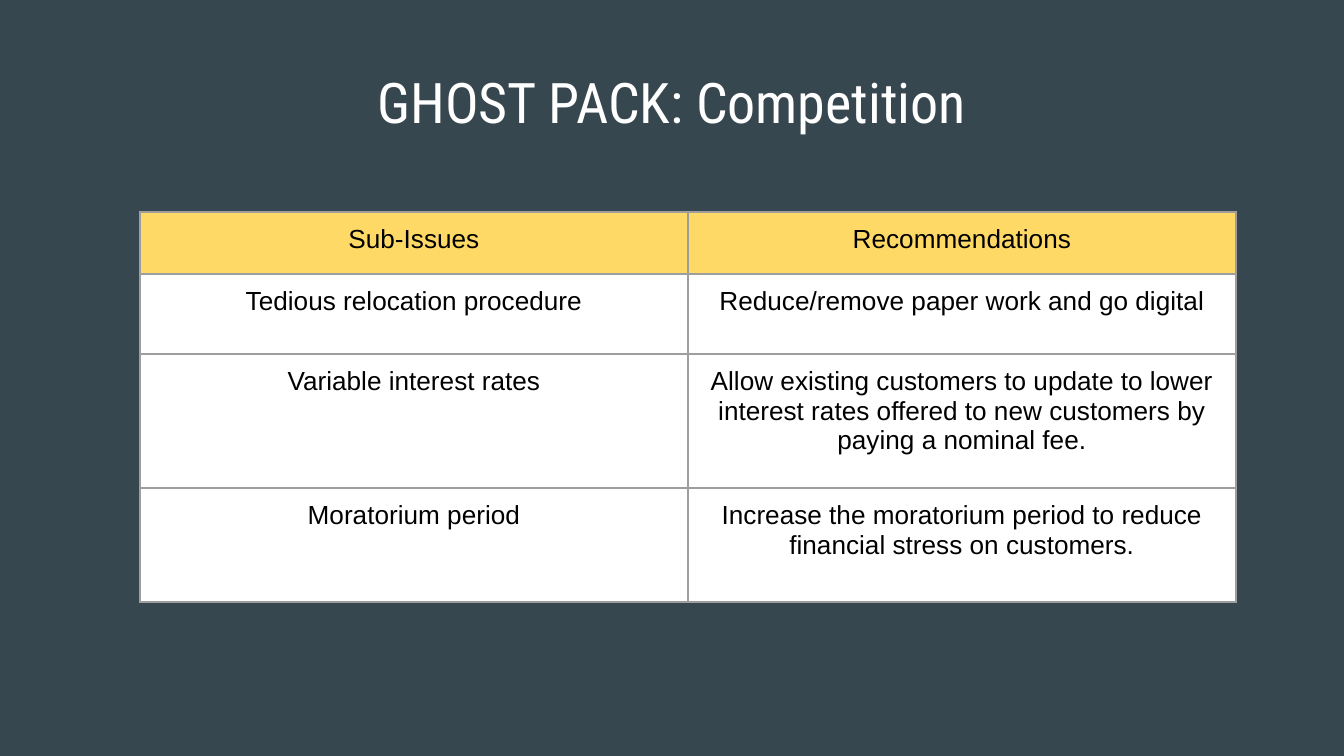
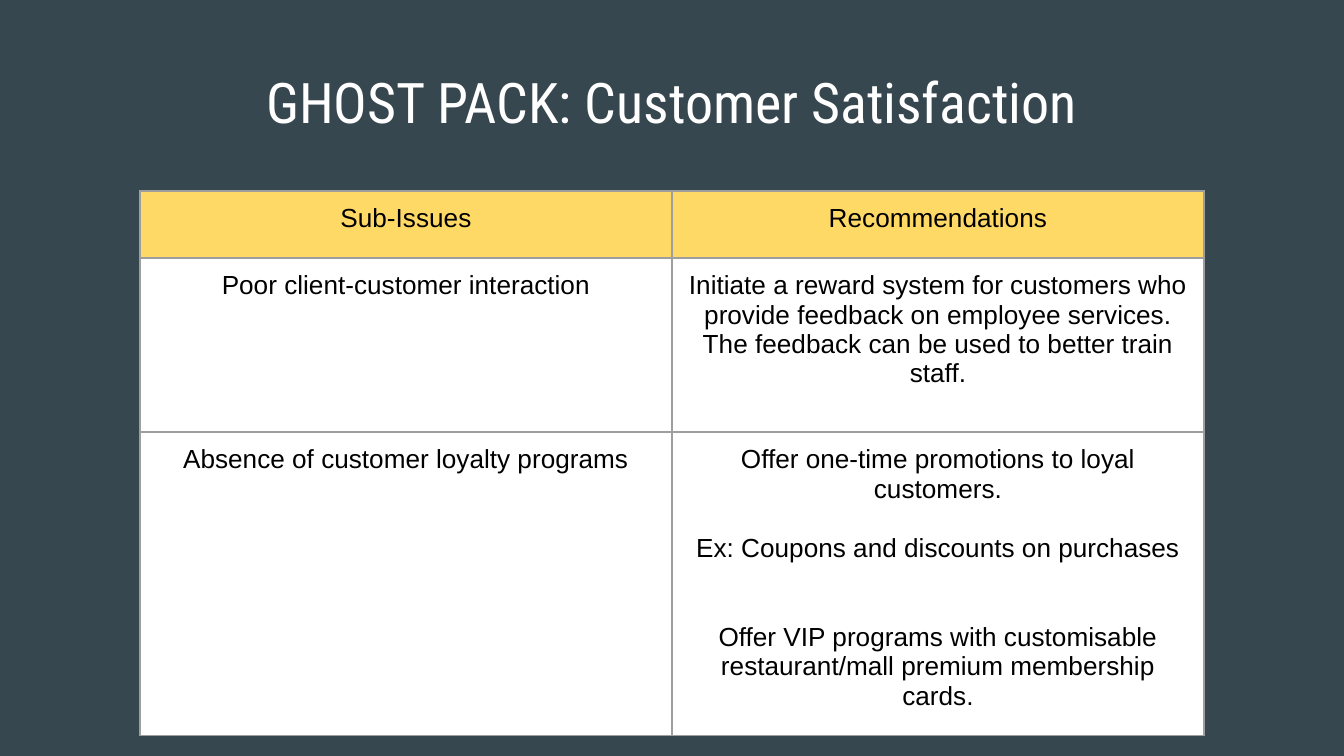
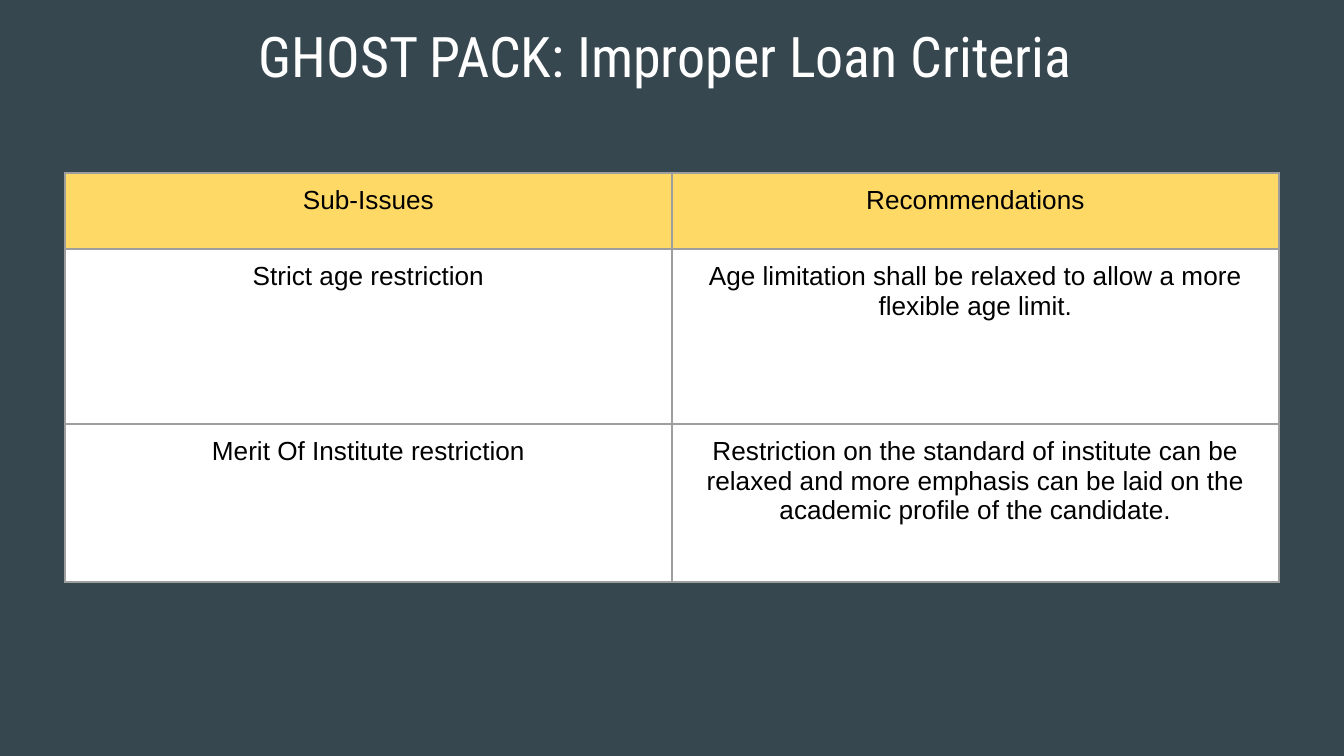
import pptx
import pptx.dml.color
import pptx.enum.text
import pptx.util
from lxml import etree

SLATE = pptx.dml.color.RGBColor(0x37, 0x47, 0x4F)
AMBER = pptx.dml.color.RGBColor(0xFF, 0xD9, 0x66)
WHITE = pptx.dml.color.RGBColor(0xFF, 0xFF, 0xFF)
BLACK = pptx.dml.color.RGBColor(0x00, 0x00, 0x00)
GREY = pptx.dml.color.RGBColor(0x9E, 0x9E, 0x9E)

DRAWING = "{http://schemas.openxmlformats.org/drawingml/2006/main}"
EMU_PER_PX = 914400 / 134.4
WIDTH, HEIGHT = 1344, 756
INSET = 13
LINE_GAP = 16
HEADINGS = ("Sub-Issues", "Recommendations")
TITLE_FONT = {"name": "Roboto Condensed", "size": pptx.util.Pt(30), "bold": False}
BODY_FONT = {"name": "Arial", "size": pptx.util.Pt(14), "bold": False}


def px(length):
    return pptx.util.Emu(round(length * EMU_PER_PX))


class Deck:
    def __init__(self):
        self.presentation = pptx.Presentation()
        self.presentation.slide_width = px(WIDTH)
        self.presentation.slide_height = px(HEIGHT)
        self.slide = None

    def new_slide(self, title, top=55, height=85):
        self.slide = self.presentation.slides.add_slide(self.presentation.slide_layouts[6])
        background = self.slide.background.fill
        background.solid()
        background.fore_color.rgb = SLATE
        self.title(title, top, height)

    def title(self, wording, top, height):
        left = 46
        box = self.slide.shapes.add_textbox(px(left), px(top), px(WIDTH - 2 * left), px(height))
        frame = box.text_frame
        frame.word_wrap = True
        frame.vertical_anchor = pptx.enum.text.MSO_ANCHOR.TOP
        self.inset(frame)
        self.centred_text(frame.paragraphs[0], wording, TITLE_FONT, WHITE)

    def table(self, left, top, column, heights, rows):
        frame = self.slide.shapes.add_table(
            len(rows), 2, px(left), px(top), px(2 * column), px(sum(heights)))
        grid = frame.table
        grid.first_row = grid.horz_banding = False
        for grid_column in grid.columns:
            grid_column.width = px(column)
        for grid_row, height, entries in zip(grid.rows, heights, rows):
            grid_row.height = px(height)
            fill = AMBER if entries == HEADINGS else WHITE
            for cell, entry in zip(grid_row.cells, entries):
                self.cell(cell, entry, fill)

    def cell(self, cell, entry, fill):
        self.inset(cell)
        self.borders(cell)
        cell.fill.solid()
        cell.fill.fore_color.rgb = fill
        lines = [(entry, 0)] if isinstance(entry, str) else entry
        for index, (wording, blank_lines) in enumerate(lines):
            frame = cell.text_frame
            paragraph = frame.add_paragraph() if index else frame.paragraphs[0]
            paragraph.space_before = pptx.util.Pt(LINE_GAP * blank_lines)
            self.centred_text(paragraph, wording, BODY_FONT, BLACK)

    def borders(self, cell):
        properties = cell._tc.get_or_add_tcPr()
        for side in ("lnL", "lnR", "lnT", "lnB"):
            border = etree.SubElement(properties, DRAWING + side, w=str(pptx.util.Pt(0.75)))
            paint = etree.SubElement(border, DRAWING + "solidFill")
            etree.SubElement(paint, DRAWING + "srgbClr", val=str(GREY))

    def inset(self, holder):
        for side in ("left", "right", "top", "bottom"):
            setattr(holder, "margin_" + side, px(INSET))

    def centred_text(self, paragraph, wording, style, color):
        paragraph.alignment = pptx.enum.text.PP_ALIGN.CENTER
        run = paragraph.add_run()
        run.text = wording
        for attribute, value in style.items():
            setattr(run.font, attribute, value)
        run.font.color.rgb = color


def main():
    deck = Deck()

    deck.new_slide("GHOST PACK: Competition")
    deck.table(140, 212, 548, (62, 80, 176), (
        HEADINGS,
        ("Tedious relocation procedure", "Reduce/remove paper work and go digital"),
        ("Variable interest rates",
         "Allow existing customers to update to lower interest rates offered to new "
         "customers by paying a nominal fee."),
    ))
    deck.table(140, 488, 548, (114,), (
        ("Moratorium period",
         "Increase the moratorium period to reduce financial stress on customers."),
    ))

    deck.new_slide("GHOST PACK: Customer Satisfaction")
    deck.table(140, 191, 532, (67, 174, 291), (
        HEADINGS,
        ("Poor client-customer interaction",
         "Initiate a reward system for customers who provide feedback on employee "
         "services. The feedback can be used to better train staff."),
        ("Absence of customer loyalty programs",
         (("Offer one-time promotions to loyal customers.", 0),
          ("Ex: Coupons and discounts on purchases", 1),
          ("Offer VIP programs with customisable restaurant/mall premium "
           "membership cards.", 2))),
    ))

    deck.new_slide("GHOST PACK: Improper Loan Criteria ", top=9, height=77)
    deck.table(65, 173, 607, (76, 175, 158), (
        HEADINGS,
        ("Strict age restriction",
         "Age limitation shall be relaxed to allow a more flexible age limit."),
        ("Merit Of Institute restriction",
         "Restriction on the standard of institute can be relaxed and more emphasis "
         "can be laid on the academic profile of the candidate."),
    ))

    deck.presentation.save("out.pptx")


if __name__ == "__main__":
    main()
